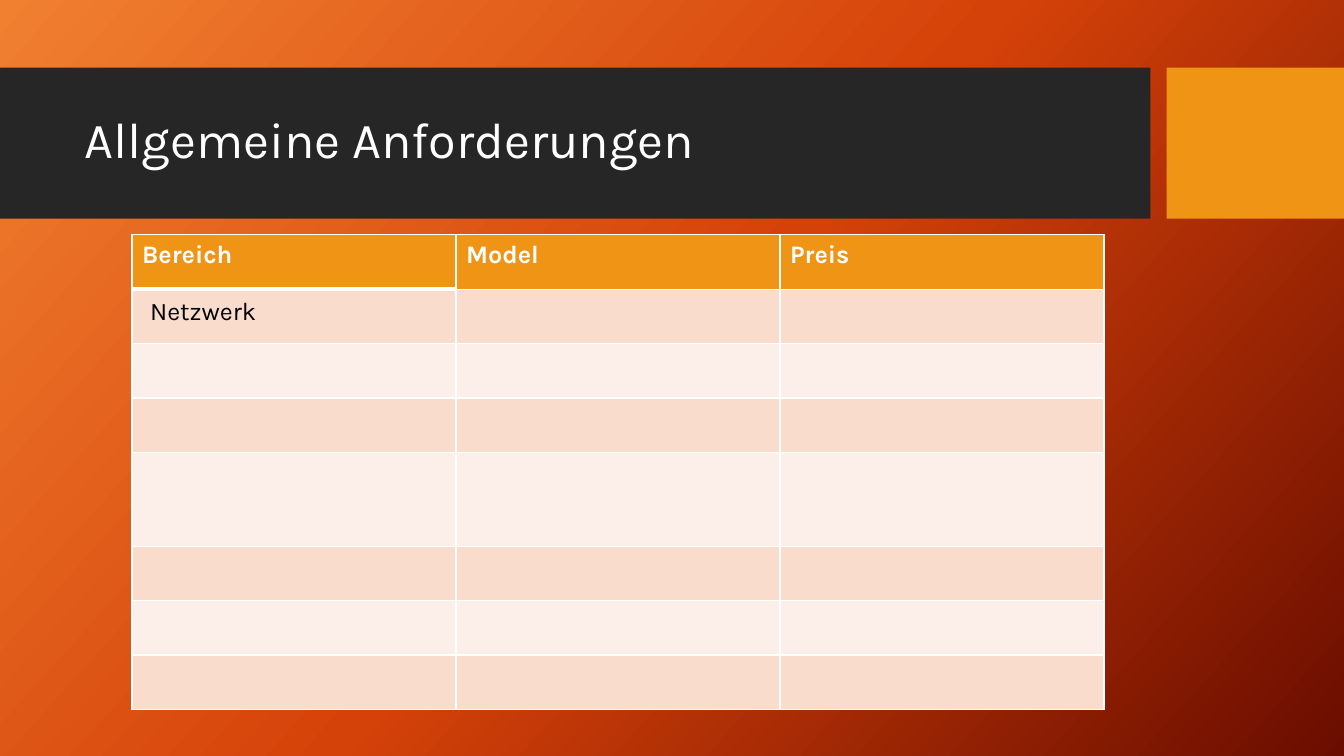
import copy

import pptx
import pptx.dml.color
import pptx.enum.shapes
import pptx.enum.text
import pptx.oxml
import pptx.oxml.ns
import pptx.util

Inches = pptx.util.Inches
Pt = pptx.util.Pt
qn = pptx.oxml.ns.qn

# Content
TITLE = "Allgemeine Anforderungen"
HEADS = ["Bereich", "Model", "Preis"]
AREA = "Netzwerk"
ROWS = [0.54] * 4 + [0.93] + [0.54] * 3

THEME = {
    "font": "Karla",
    "title": 36,
    "body": 18,
    "white": "FFFFFF",
    "black": "000000",
    "bar": "262626",
    "accent": "F09415",
    "bands": ["F9DCCC", "FCEEE8"],
    "back": [(0, "F18031"), (0.5, "D54209"), (1, "6A0D00")],
    "angle": 42,
}

# Places: left, top, width, height
BARS = [
    ((0, 0.67, 11.41, 1.5), THEME["bar"]),
    ((11.57, 0.67, 1.76, 1.5), THEME["accent"]),
]
HEAD_BOX = (0.74, 0.82, 10.51, 1.18)
GRID_BOX = (1.31, 2.33, 9.64, sum(ROWS))
AREA_BOX = (1.39, 2.88, 3.15, 0.4)


def rgb(code):
    return pptx.dml.color.RGBColor.from_string(code)


def place(box):
    return [Inches(n) for n in box]


def write(frame, text, size, tint, bold=False):
    para = frame.paragraphs[0]
    run = para.add_run()
    run.text = text
    look = {"name": THEME["font"], "size": Pt(size), "bold": bold}
    for key, value in look.items():
        setattr(run.font, key, value)
    run.font.color.rgb = rgb(tint)
    return para


def add_text(slide, box, text, size, tint, **form):
    frame = slide.shapes.add_textbox(*place(box)).text_frame
    for key, value in {"word_wrap": True, **form}.items():
        setattr(frame, key, value)
    return write(frame, text, size, tint)


def add_edge(cell, side, width):
    line = pptx.oxml.parse_xml(
        f'<a:ln{side} xmlns:a="http://schemas.openxmlformats.org/drawingml/2006/main"'
        f' w="{Pt(width)}"><a:solidFill><a:srgbClr val="{THEME["white"]}"/>'
        f'</a:solidFill><a:prstDash val="solid"/></a:ln{side}>'
    )
    cell._tc.get_or_add_tcPr().append(line)


def paint_back(slide):
    fill = slide.background.fill
    fill.gradient()
    fill.gradient_angle = 360 - THEME["angle"]
    stops = slide.element.find(".//" + qn("a:gsLst"))
    stops.append(copy.deepcopy(stops[-1]))
    for stop, (spot, tint) in zip(fill.gradient_stops, THEME["back"]):
        stop.position = spot
        stop.color.rgb = rgb(tint)


def add_grid(slide):
    grid = slide.shapes.add_table(len(ROWS), len(HEADS), *place(GRID_BOX)).table
    for col in grid.columns:
        col.width = Inches(GRID_BOX[2] / len(HEADS))
    for i, high in enumerate(ROWS):
        grid.rows[i].height = Inches(high)
        tint = THEME["bands"][(i - 1) % 2] if i else THEME["accent"]
        for j, head in enumerate(HEADS):
            cell = grid.cell(i, j)
            # Thick rule under the first heading only
            thick = {(0, 0): "B", (1, 0): "T"}.get((i, j))
            for side in "LRTB":
                add_edge(cell, side, 3 if side == thick else 1)
            cell.fill.solid()
            cell.fill.fore_color.rgb = rgb(tint)
            if i == 0:
                write(cell.text_frame, head, THEME["body"], THEME["white"], True)


def main():
    deck = pptx.Presentation()
    deck.slide_width, deck.slide_height = Inches(13.33), Inches(7.5)
    slide = deck.slides.add_slide(deck.slide_layouts[6])
    paint_back(slide)

    # Title band
    for box, tint in BARS:
        bar = slide.shapes.add_shape(
            pptx.enum.shapes.MSO_SHAPE.RECTANGLE, *place(box))
        bar.shadow.inherit = False
        bar.fill.solid()
        bar.fill.fore_color.rgb = rgb(tint)
        bar.line.fill.background()
    para = add_text(slide, HEAD_BOX, TITLE, THEME["title"], THEME["white"],
                    vertical_anchor=pptx.enum.text.MSO_ANCHOR.MIDDLE)
    para.line_spacing = 0.9

    # Table and the entry on it
    add_grid(slide)
    add_text(slide, AREA_BOX, AREA, THEME["body"], THEME["black"],
             auto_size=pptx.enum.text.MSO_AUTO_SIZE.SHAPE_TO_FIT_TEXT)
    deck.save("out.pptx")


if __name__ == "__main__":
    main()
